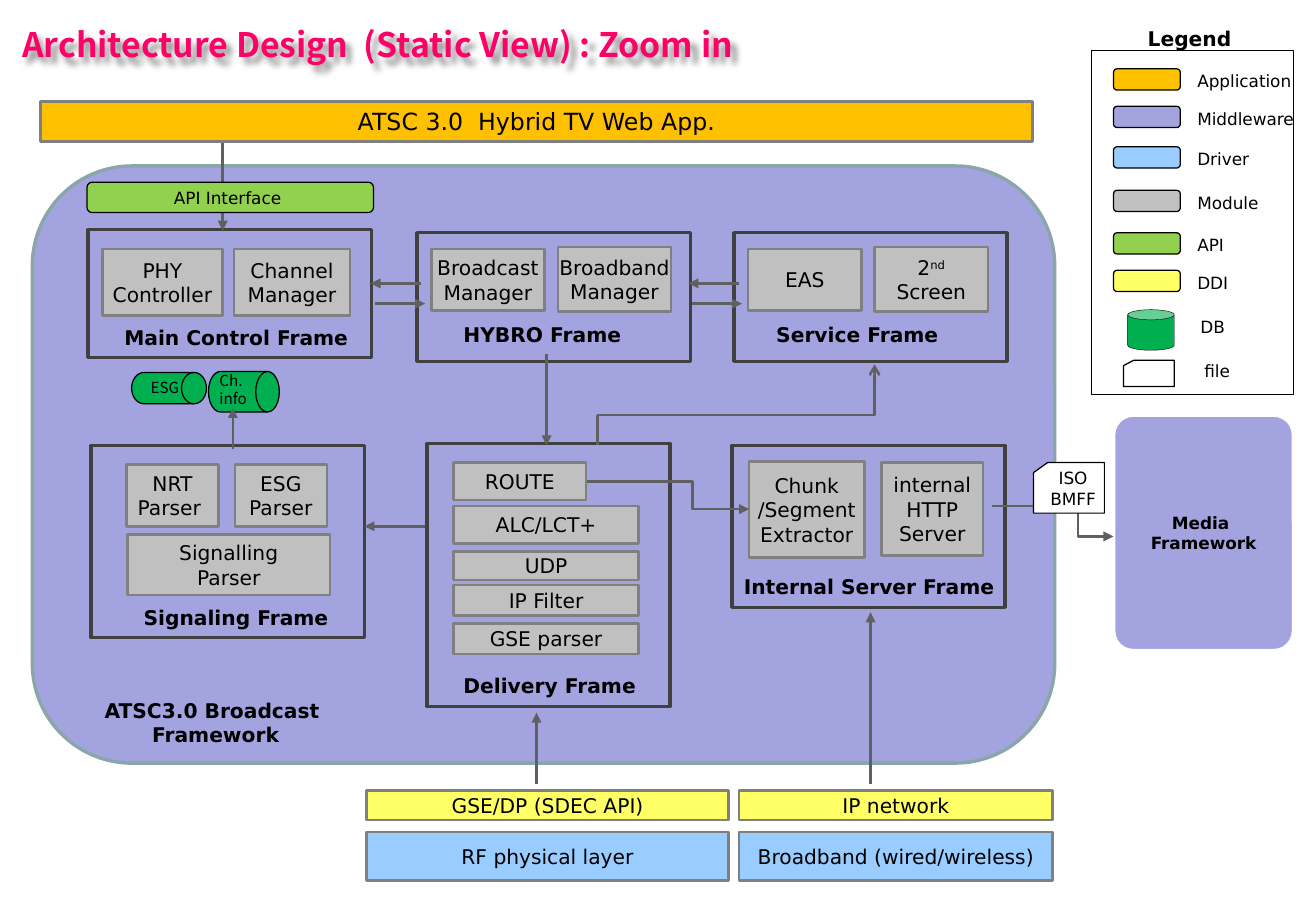
from dataclasses import dataclass

from lxml import etree
from pptx import Presentation
from pptx.dml.color import RGBColor
from pptx.enum.shapes import MSO_CONNECTOR, MSO_SHAPE
from pptx.enum.text import MSO_ANCHOR, PP_ALIGN
from pptx.oxml.ns import qn
from pptx.util import Inches, Pt

RECT, ROUND = MSO_SHAPE.RECTANGLE, MSO_SHAPE.ROUNDED_RECTANGLE
CAN, DRUM = MSO_SHAPE.CAN, MSO_SHAPE.FLOWCHART_DIRECT_ACCESS_STORAGE
CARD = MSO_SHAPE.FLOWCHART_CARD
STRAIGHT, ELBOW = MSO_CONNECTOR.STRAIGHT, MSO_CONNECTOR.ELBOW
LEFT, CENTER = PP_ALIGN.LEFT, PP_ALIGN.CENTER
TOP, MIDDLE = MSO_ANCHOR.TOP, MSO_ANCHOR.MIDDLE

# The slide is a grid of 130 columns and 90 rows, twelve to the inch
COLS, ROWS = 130, 90


@dataclass(frozen=True)
class Theme:
    font: str = "DejaVu Sans"
    cjk: str = "Noto Sans CJK KR"
    title: str = "FF0066"
    ink: str = "000000"
    paper: str = "FFFFFF"
    app: str = "FFC000"
    middleware: str = "A3A3E0"
    driver: str = "99CCFF"
    module: str = "C0C0C0"
    server: str = "BFBFBF"
    api: str = "92D050"
    ddi: str = "FFFF66"
    db: str = "00B050"
    edge: str = "808080"
    frame: str = "404040"
    arrow: str = "606060"
    rim: str = "8AA6A8"
    title_size: int = 20
    app_size: int = 14
    body_size: int = 12
    small_size: int = 10
    db_size: int = 9


T = Theme()


def cells(*values):
    return [Inches(v / 12) for v in values]


def within(box, x, y, w, h):
    return box[0] + x, box[1] + y, w, h


def write(tf, text, size=T.body_size, bold=False, font=T.font, color=T.ink,
          align=CENTER, anchor=MIDDLE, wrap=False):
    """One paragraph a line; what follows ^ is raised."""
    tf.word_wrap, tf.vertical_anchor = wrap, anchor
    for i, line in enumerate(text.split("\n")):
        p = tf.add_paragraph() if i else tf.paragraphs[0]
        p.alignment = align
        for j, part in enumerate(line.split("^")):
            r = p.add_run()
            r.text = part
            for name, value in dict(name=font, size=Pt(size), bold=bold).items():
                setattr(r.font, name, value)
            r.font.color.rgb = RGBColor.from_string(color)
            if j:
                r._r.get_or_add_rPr().set("baseline", "30000")


def block(s, box, fill=None, line=T.edge, width=1.5, kind=RECT, adj=None,
          text="", **style):
    sp = s.shapes.add_shape(kind, *cells(*box))
    sp.shadow.inherit = False
    if adj is not None:
        sp.adjustments[0] = adj
    if fill:
        sp.fill.solid()
        sp.fill.fore_color.rgb = RGBColor.from_string(fill)
    else:
        sp.fill.background()
    if line:
        sp.line.color.rgb = RGBColor.from_string(line)
        sp.line.width = Pt(width)
    else:
        sp.line.fill.background()
    if text:
        write(sp.text_frame, text, **style)
    return sp


def label(s, box, text, align=LEFT, **style):
    tf = s.shapes.add_textbox(*cells(*box)).text_frame
    if align == LEFT:
        tf.margin_right = 0
    write(tf, text, align=align, anchor=TOP, **style)


def arrow(s, x1, y1, x2, y2, kind=STRAIGHT, tip="triangle", adj=None, preset=None):
    c = s.shapes.add_connector(kind, *cells(x1, y1, x2, y2))
    c.line.color.rgb = RGBColor.from_string(T.arrow)
    c.line.width = Pt(1.5)
    spPr = c._element.spPr
    geom = spPr.find(qn("a:prstGeom"))
    if preset:
        geom.set("prst", preset)
    if adj:
        etree.SubElement(geom.find(qn("a:avLst")), qn("a:gd"),
                         name="adj1", fmla=f"val {round(adj * 100000)}")
    if tip:
        etree.SubElement(spPr.find(qn("a:ln")), qn("a:tailEnd"), type=tip)
    etree.SubElement(spPr, qn("a:effectLst"))


def title(s, box, text):
    sp = s.shapes.title
    sp.left, sp.top, sp.width, sp.height = cells(*box)
    sp.fill.background()
    write(sp.text_frame, text, T.title_size, True, T.cjk, T.title, LEFT, wrap=True)
    # With no fill the shadow falls from the letters
    effects = etree.SubElement(sp._element.spPr, qn("a:effectLst"))
    shadow = etree.SubElement(effects, qn("a:outerShdw"), blurRad="38100",
                              dist="50800", dir="2700000", algn="tl")
    color = etree.SubElement(shadow, qn("a:srgbClr"), val=T.ink)
    etree.SubElement(color, qn("a:alpha"), val="43000")


def frame(s, box, name, name_at, modules, fill=T.module):
    """Outlined frame with its modules and caption, placed from its corner."""
    block(s, box, line=T.frame, width=2)
    for text, *place in modules:
        block(s, within(box, *place), fill, text=text)
    label(s, within(box, *name_at, 28, 3.6), name, bold=True)


def legend(s, box):
    block(s, box, T.paper, T.ink, 0.75)
    label(s, within(box, 4.4, -3, 11.3, 3.6), "Legend", bold=True)
    swatches = [("Application", T.app, 1.8), ("Middleware", T.middleware, 5.5),
                ("Driver", T.driver, 9.5), ("Module", T.module, 13.8),
                ("API", T.api, 18), ("DDI", T.ddi, 21.7)]
    names = [(name, 9.3, y - 0.4) for name, _, y in swatches]
    for _, fill, y in swatches:
        block(s, within(box, 2.2, y, 6.6, 2.1), fill, T.ink, 0.75, ROUND, 0.17)
    block(s, within(box, 3.6, 25.6, 4.6, 4), T.db, T.ink, 0.25, CAN, 0.25)
    block(s, within(box, 3.2, 30.6, 5, 2.6), T.paper, T.ink, 0.75, CARD)
    for name, x, y in names + [("DB", 9.6, 25.7), ("file", 10, 30)]:
        label(s, within(box, x, y, 12.2, 3.2), name, size=T.small_size)


def databases(s, box):
    for text, drum, caption in [
            ("ESG", (0, 0.1, 7.4, 3.1), (0.7, 0.1, 5.5, 3)),
            ("Ch.\ninfo", (7.6, 0, 7, 4), (7.5, -0.6, 5.2, 4.8))]:
        block(s, within(box, *drum), T.db, T.ink, 0.75, DRUM)
        label(s, within(box, *caption), text, size=T.db_size, font=T.cjk)


def network(s, box, ddi, driver):
    """DDI bar above its driver bar."""
    block(s, (*box, 2.9), T.ddi, text=ddi)
    block(s, within(box, 0, 4.1, box[2], 4.8), T.driver, text=driver)


def media(s, box):
    block(s, box, T.middleware, T.paper, 2.25, ROUND, 0.11,
          "Media \nFramework", size=T.small_size, bold=True)
    arrow(s, 98, 50, box[0], 53, ELBOW, adj=0.71)
    # File handed over to the media framework
    block(s, within(box, -7.9, 4.7, 7, 5), T.paper, T.ink, 0.75, CARD)
    sp = block(s, within(box, -7, 5.1, 6, 4.3), T.paper, None,
               text="ISO\nBMFF", size=T.small_size)
    for side in ("left", "right", "top", "bottom"):
        setattr(sp.text_frame, f"margin_{side}", Inches(0.02))


FRAMES = [
    ((8.7, 22.7, 28, 12.6), "Main Control Frame", (2.4, 8.8),
     [("PHY\nController", 1.4, 1.9, 11.9, 6.6), ("Channel\nManager", 14.4, 1.9, 11.5, 6.6)]),
    ((41.2, 23, 27, 12.7), "HYBRO Frame", (3.4, 8.3),
     [("Broadcast\nManager", 1.4, 1.6, 11.2, 6.1), ("Broadband\nManager", 13.9, 1.4, 11.2, 6.4)]),
    ((72.5, 23, 27, 12.7), "Service Frame", (3, 8.3),
     [("EAS", 1.4, 1.6, 11.2, 6.1), ("2^nd\nScreen", 13.9, 1.4, 11.2, 6.4)]),
    ((9, 44, 27, 19), "Signaling Frame", (4, 15.2),
     [("NRT\nParser ", 3.5, 1.9, 9.1, 6.1), ("ESG\n Parser ", 14.2, 1.9, 9.1, 6.1),
      ("Signalling\n Parser ", 3.6, 8.8, 20, 6)]),
    ((42.2, 43.8, 24, 26), "Delivery Frame", (2.4, 22.1),
     [("ROUTE", 2.6, 1.9, 13.1, 3.7), ("ALC/LCT+", 2.6, 6.2, 18.3, 3.7),
      ("UDP", 2.6, 10.7, 18.3, 2.8), ("IP Filter", 2.6, 14, 18.3, 3),
      ("GSE parser", 2.6, 17.8, 18.3, 3)]),
    ((72.3, 44, 27, 16), "Internal Server Frame", (0, 12.1),
     [("Chunk\n/Segment\nExtractor", 1.7, 1.6, 11.4, 9.5),
      ("internal\nHTTP\nServer", 14.8, 1.7, 10, 9.2)], T.server),
]

ARROWS = [
    (37, 30, 42, 30), (41.6, 28, 36.6, 28), (68.4, 30, 73.3, 30), (73, 28, 68, 28),
    (42, 52, 36, 52), (23, 44.4, 23, 40.3), (54, 35, 54, 44),
    (53, 77.5, 53, 70.4), (86, 77.5, 86, 60.5),
]


def framework(s, box):
    block(s, box, T.middleware, T.rim, 2, ROUND)
    label(s, within(box, 5.8, 52, 24.6, 6), "ATSC3.0 Broadcast \nFramework", CENTER, bold=True)
    for parts in FRAMES:
        frame(s, *parts)
    databases(s, (13, 36.7))
    # Application call passes behind the API bar
    arrow(s, 22, 13.8, 22, 22.8)
    block(s, within(box, 5.4, 1.6, 28.3, 3), T.api, T.ink, 0.75, ROUND, 0.17,
          "API Interface ", size=T.small_size)
    for ends in ARROWS:
        arrow(s, *ends)
    # Delivery to the server and service frames
    arrow(s, 58, 47.6, 74, 50.3, ELBOW, adj=0.65)
    arrow(s, 59, 44, 59, 41, tip=None)
    arrow(s, 59, 41, 86.4, 36, ELBOW, "arrow", preset="bentConnector2")


def main():
    prs = Presentation()
    prs.slide_width, prs.slide_height = cells(COLS, ROWS)
    s = prs.slides.add_slide(prs.slide_layouts[5])
    title(s, (1, 1.7, 126, 5.3), "Architecture Design  (Static View) : Zoom in")
    framework(s, (3.2, 16.4, 101, 59))
    block(s, (4, 10, 98, 4), T.app, text="ATSC 3.0  Hybrid TV Web App.", size=T.app_size)
    network(s, (36.2, 78.1, 35.8), "GSE/DP (SDEC API)", "RF physical layer")
    network(s, (73, 78.1, 31), "IP network", "Broadband (wired/wireless)")
    legend(s, (107.8, 5, 20, 34))
    media(s, (110, 41, 17.8, 23.3))
    prs.save("out.pptx")


if __name__ == "__main__":
    main()
